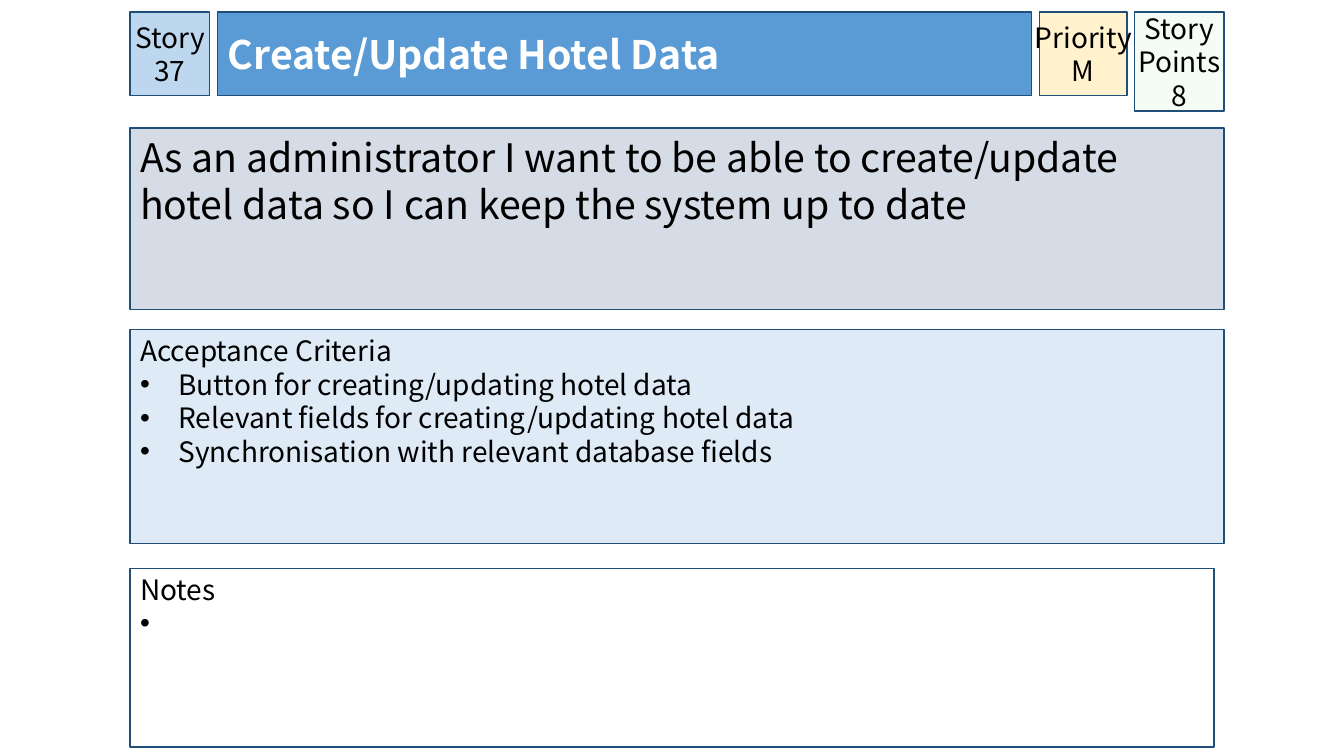
from pptx import Presentation
from pptx import util as u
from pptx.dml.color import RGBColor
from pptx.enum import shapes, text
from pptx.oxml.ns import qn
from lxml import etree

PX = 9144  # EMU in one px, 100 px to the inch
FONT = "Noto Sans CJK KR"
LEFT, TOP, WIDTH, HIGH = 129, 12, 1085, 83
MID = text.MSO_ANCHOR.MIDDLE
HEAD = text.MSO_ANCHOR.TOP


def color(code):
    return RGBColor.from_string(code)


def place(shape, box, fill, alpha=None):
    """Put a shape in its box, filled and outlined."""
    shape.left, shape.top, shape.width, shape.height = [n * PX for n in box]
    shape.fill.solid()
    shape.fill.fore_color.rgb = color(fill)
    if alpha:
        tint = shape.fill._xPr.find(".//" + qn("a:srgbClr"))
        etree.SubElement(tint, qn("a:alpha"), val=str(alpha * 1000))
    shape.line.color.rgb = color("1F4E79")
    shape.line.width = u.Pt(1)


def indent(para, hang):
    """Hang a bullet by the given px, or clear it when zero."""
    props = para._p.get_or_add_pPr()
    props.set("marL", str(hang * PX))
    props.set("indent", str(-hang * PX))
    if hang:
        etree.SubElement(props, qn("a:buFont"), typeface="Arial")
        etree.SubElement(props, qn("a:buChar"), char="•")
    else:
        etree.SubElement(props, qn("a:buNone"))


def write(shape, lines, size, anchor=HEAD, align=text.PP_ALIGN.LEFT,
          pads=(10, 5, 10, 5), ink="000000", bold=False, hang=0, wrap=True):
    """Fill a shape with lines; those after the first hang by px."""
    frame = shape.text_frame
    frame.text = "\n".join(lines)
    frame.auto_size = text.MSO_AUTO_SIZE.NONE
    frame.word_wrap = wrap
    frame.vertical_anchor = anchor
    (frame.margin_left, frame.margin_top,
     frame.margin_right, frame.margin_bottom) = [n * PX for n in pads]
    for i, para in enumerate(frame.paragraphs):
        para.alignment = align
        para.line_spacing = 1.0
        para.space_before = para.space_after = u.Pt(0)
        indent(para, hang if i else 0)
        for run in para.runs:
            run.font.name = FONT
            run.font.size = u.Pt(size)
            run.font.bold = bold
            run.font.color.rgb = color(ink)


def panel(slide, box, fill, alpha=None):
    shape = slide.shapes.add_shape(shapes.MSO_SHAPE.RECTANGLE, 0, 0, 0, 0)
    shape.shadow.inherit = False
    place(shape, box, fill, alpha)
    return shape


def badge(slide, box, fill, lines, alpha=None, wrap=True):
    shape = panel(slide, box, fill, alpha)
    write(shape, lines, 20, MID, text.PP_ALIGN.CENTER, (0, 5, 0, 5), wrap=wrap)


def main():
    deck = Presentation()
    deck.slide_width, deck.slide_height = 1333 * PX, 750 * PX
    slide = deck.slides.add_slide(deck.slide_layouts[1])
    title, body = slide.placeholders

    # Header row
    place(title, (216, TOP, 807, HIGH), "5B9BD5")
    write(title, ["Create/Update Hotel Data"], 28, MID, ink="FFFFFF", bold=True)
    badge(slide, (LEFT, TOP, 79, HIGH), "BDD7EE", ["Story 37"])
    badge(slide, (1125, TOP, 89, 98), "CCF0CD", ["Story Points", "8"], alpha=20)
    badge(slide, (1031, TOP, 87, HIGH), "FFF2CC", ["Priority", "M"], wrap=False)

    # User story
    story = panel(slide, (LEFT, 127, WIDTH, 180), "D6DCE5")
    write(story, ["As an administrator I want to be able to create/update "
                  "hotel data so I can keep the system up to date"], 28)

    # Acceptance criteria
    place(body, (LEFT, 327, WIDTH, 212), "DEEBF7")
    write(body, ["Acceptance Criteria",
                 "Button for creating/updating hotel data",
                 "Relevant fields for creating/updating hotel data",
                 "Synchronisation with relevant database fields"],
          20, pads=(10, 4, 10, 5), hang=38)

    # Notes, with one open bullet
    notes = panel(slide, (LEFT, 564, 1075, 177), "FFFFFF")
    write(notes, ["Notes", " "], 20, pads=(10, 4, 10, 5), hang=20)

    deck.save("out.pptx")


if __name__ == "__main__":
    main()
